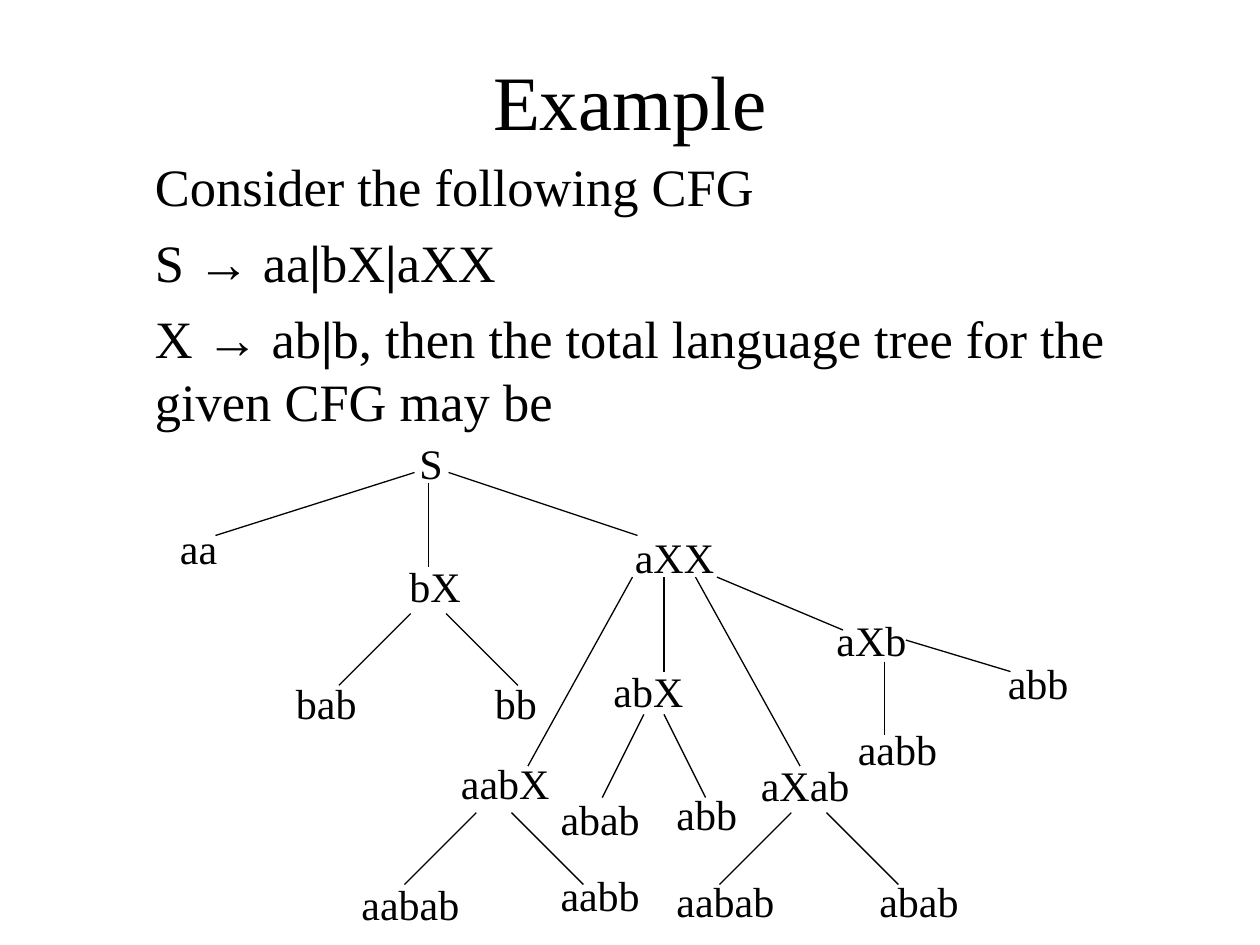
from dataclasses import dataclass

from lxml import etree
from pptx import Presentation
from pptx.dml.color import RGBColor
from pptx.enum import shapes, text
from pptx.oxml import ns
from pptx.util import Inches, Pt


@dataclass(frozen=True)
class Theme:
    ink: RGBColor = RGBColor(0, 0, 0)
    paper: RGBColor = RGBColor(255, 255, 255)
    font: str = "Times New Roman"
    arrow_font: str = "Arial"
    title_size: int = 44
    body_size: int = 30
    node_size: int = 24
    line_width: float = 0.75


THEME = Theme()

GRAMMAR = [
    "Consider the following CFG",
    "S → aa|bX|aXX",
    "X → ab|b, then the total language tree for the given CFG may be",
]

# Word, left and top of its box
NODES = [
    ("S", 3.23, 3.42),
    ("aa", 1.33, 4.1), ("bX", 3.15, 4.4), ("aXX", 4.94, 4.17),
    ("bab", 2.25, 5.33), ("bb", 3.83, 5.33),
    ("aabX", 3.56, 5.96), ("abX", 4.77, 5.23),
    ("aXab", 5.94, 5.98), ("aXb", 6.54, 4.83),
    ("aabab", 2.77, 6.92), ("aabb", 4.35, 6.85),
    ("abab", 4.35, 6.25), ("abb", 5.27, 6.21),
    ("aabab", 5.27, 6.9), ("abab", 6.88, 6.9),
    ("aabb", 6.71, 5.69), ("abb", 7.9, 5.17),
]

# Start x, start y, end x, end y
BRANCHES = [
    (3.29, 3.75, 1.71, 4.25), (3.4, 3.83, 3.4, 4.5), (3.56, 3.75, 5.06, 4.25),
    (5.02, 4.58, 4.19, 6.08), (5.27, 4.58, 5.27, 5.33),
    (5.52, 4.58, 6.35, 6.08), (5.69, 4.58, 6.69, 5),
    (7.02, 5.25, 7.02, 5.83), (7.19, 5.08, 8.02, 5.33),
]

# Centre x, top, half width at the top, half width at the foot, drop
FORKS = [
    (3.4, 4.87, 0.14, 0.71, 0.57),
    (3.92, 6.45, 0.14, 0.71, 0.57),
    (6.42, 6.45, 0.14, 0.71, 0.57),
    (5.19, 5.67, 0.08, 0.41, 0.66),
]


def write(paragraph, words, *, size, font=THEME.font, bold=False):
    run = paragraph.add_run()
    run.text = words
    run.font.size = Pt(size)
    run.font.name = font
    run.font.bold = bold
    run.font.color.rgb = THEME.ink


def place(shape, left, top, width, height):
    shape.left, shape.top = Inches(left), Inches(top)
    shape.width, shape.height = Inches(width), Inches(height)


def fill_title(title, words):
    place(title, 0.75, 0.17, 8.5, 1.25)
    frame = title.text_frame
    frame.auto_size = text.MSO_AUTO_SIZE.NONE
    frame.vertical_anchor = text.MSO_ANCHOR.MIDDLE
    paragraph = frame.paragraphs[0]
    paragraph.alignment = text.PP_ALIGN.CENTER
    write(paragraph, words, size=THEME.title_size)


def write_rule(paragraph, rule):
    """Write a grammar rule with bold bars and arrows in their own font."""
    pieces = rule.replace("→", "\n→\n").replace("|", "\n|\n").split("\n")
    for piece in pieces:
        font = THEME.arrow_font if piece == "→" else THEME.font
        write(paragraph, piece, size=THEME.body_size, font=font,
              bold=piece == "|")


def fill_body(body, rules):
    place(body, 0.75, 1.17, 8.5, 4.5)
    frame = body.text_frame
    frame.auto_size = text.MSO_AUTO_SIZE.NONE
    frame.vertical_anchor = text.MSO_ANCHOR.TOP
    for number, rule in enumerate(rules):
        paragraph = frame.add_paragraph() if number else frame.paragraphs[0]
        properties = paragraph._p.get_or_add_pPr()
        properties.set("marL", str(Inches(0.38)))
        properties.set("indent", "0")
        etree.SubElement(properties, ns.qn("a:buNone"))
        paragraph.space_before = Pt(7.5 if number else 0)
        write_rule(paragraph, rule)


def add_node(slide, word, left, top):
    node = slide.shapes.add_textbox(
        Inches(left), Inches(top), Inches(1.58), Inches(0.5))
    frame = node.text_frame
    frame.word_wrap = True
    frame.auto_size = text.MSO_AUTO_SIZE.SHAPE_TO_FIT_TEXT
    write(frame.paragraphs[0], word, size=THEME.node_size)


def add_branch(slide, *ends):
    branch = slide.shapes.add_connector(
        shapes.MSO_CONNECTOR.STRAIGHT, *map(Inches, ends))
    branch.line.color.rgb = THEME.ink
    branch.line.width = Pt(THEME.line_width)
    etree.SubElement(branch._element.spPr, ns.qn("a:effectLst"))


def add_fork(slide, center, top, inner, outer, drop):
    """Add two mirrored branches that spread downwards."""
    for side in (-1, 1):
        add_branch(slide, center + side * inner, top,
                   center + side * outer, top + drop)


def main():
    deck = Presentation()
    deck.slide_width, deck.slide_height = Inches(10), Inches(7.5)
    slide = deck.slides.add_slide(deck.slide_layouts[1])
    slide.background.fill.solid()
    slide.background.fill.fore_color.rgb = THEME.paper

    fill_title(slide.shapes.title, "Example")
    fill_body(slide.placeholders[1], GRAMMAR)
    for branch in BRANCHES:
        add_branch(slide, *branch)
    for fork in FORKS:
        add_fork(slide, *fork)
    for node in NODES:
        add_node(slide, *node)
    deck.save("out.pptx")


if __name__ == "__main__":
    main()
